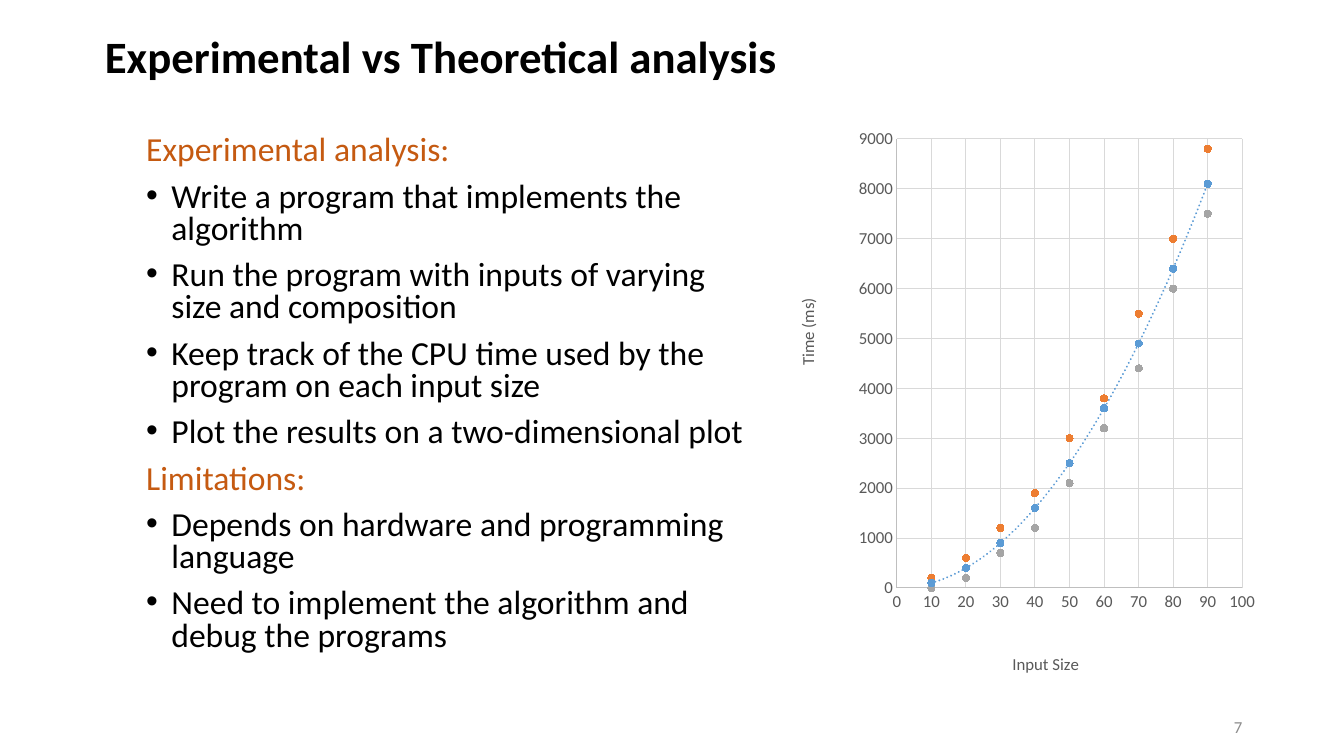
"""Build a slide on experimental analysis with a running-time scatter chart."""
from pptx import Presentation
from pptx.chart.data import XyChartData
from pptx.dml.color import RGBColor
from pptx.enum.chart import XL_CHART_TYPE, XL_MARKER_STYLE, XL_TICK_MARK
from pptx.enum.text import MSO_ANCHOR, MSO_AUTO_SIZE, PP_ALIGN
from pptx.oxml import parse_xml
from pptx.oxml.ns import nsdecls, qn
from pptx.util import Inches, Pt

SCATTER = XL_CHART_TYPE.XY_SCATTER
CIRCLE = XL_MARKER_STYLE.CIRCLE
NO_TICK = XL_TICK_MARK.NONE
MIDDLE, TOP = MSO_ANCHOR.MIDDLE, MSO_ANCHOR.TOP
NO_AUTOFIT = MSO_AUTO_SIZE.NONE
LEFT, RIGHT = PP_ALIGN.LEFT, PP_ALIGN.RIGHT

FONT = "Calibri"
BLACK = RGBColor(0x00, 0x00, 0x00)
RUST = RGBColor(0xC5, 0x5A, 0x11)
PAGE_GRAY = RGBColor(0x8C, 0x8C, 0x8C)
AXIS_TEXT = RGBColor(0x59, 0x59, 0x59)
AXIS_LINE = RGBColor(0xBF, 0xBF, 0xBF)
GRID_LINE = RGBColor(0xD9, 0xD9, 0xD9)
BLUE = RGBColor(0x5B, 0x9B, 0xD5)
ORANGE = RGBColor(0xED, 0x7D, 0x31)
GRAY = RGBColor(0xA5, 0xA5, 0xA5)

SECTIONS = {
    "Experimental analysis:": [
        "Write a program that implements the algorithm",
        "Run the program with inputs of varying size and composition",
        "Keep track of the CPU time used by the program on each input size",
        "Plot the results on a two-dimensional plot",
    ],
    "Limitations:": [
        "Depends on hardware and programming language",
        "Need to implement the algorithm and debug the programs",
    ],
}
INPUT_SIZES = range(10, 100, 10)
TIMINGS = [
    ("Series 1", BLUE, [100, 400, 900, 1600, 2500, 3600, 4900, 6400, 8100]),
    ("Series 2", ORANGE, [200, 600, 1200, 1900, 3000, 3800, 5500, 7000, 8800]),
    ("Series 3", GRAY, [0, 200, 700, 1200, 2100, 3200, 4400, 6000, 7500]),
]


def style_font(font, size, color, bold=False):
    """Set the typeface, size, colour and weight of a font."""
    font.name, font.size, font.bold = FONT, Pt(size), bold
    font.color.rgb = color


def write_text(paragraph, text, size=24, color=BLACK, bold=False,
               align=LEFT, line_spacing=None, space_before=0):
    """Write one formatted run into a paragraph."""
    run = paragraph.add_run()
    run.text = text
    style_font(run.font, size, color, bold)
    paragraph.alignment = align
    paragraph.line_spacing = line_spacing
    paragraph.space_before = Pt(space_before)


def set_bullet(paragraph, bulleted):
    """Give a paragraph a hanging bullet, or none."""
    indent = Inches(0.25) if bulleted else 0
    properties = paragraph._p.get_or_add_pPr()
    properties.set("marL", str(indent))
    properties.set("indent", str(-indent))
    bullet = 'buChar char="•"' if bulleted else "buNone"
    properties.append(parse_xml(f"<a:{bullet} {nsdecls('a')}/>"))


def place(shape, left, top, width, height, anchor):
    """Position a text shape and return its prepared text frame."""
    shape.left, shape.top = Inches(left), Inches(top)
    shape.width, shape.height = Inches(width), Inches(height)
    frame = shape.text_frame
    frame.word_wrap = True
    frame.auto_size = NO_AUTOFIT
    frame.vertical_anchor = anchor
    return frame


def fill_body(frame):
    """Write each section heading followed by its bulleted points."""
    lines = []
    for heading, points in SECTIONS.items():
        lines.append((heading, RUST, False))
        lines += [(point, BLACK, True) for point in points]
    for index, (text, color, bulleted) in enumerate(lines):
        paragraph = frame.add_paragraph() if index else frame.paragraphs[0]
        write_text(paragraph, text, color=color, line_spacing=0.8, space_before=10)
        set_bullet(paragraph, bulleted)


def set_layout(parent, index, target="", **fractions):
    """Fix the place of a chart part as fractions of the chart."""
    for old in parent.findall(qn("c:layout")):
        parent.remove(old)
    inner = f'<c:layoutTarget val="{target}"/>' if target else ""
    modes = '<c:xMode val="edge"/><c:yMode val="edge"/>'
    sizes = "".join(f'<c:{key} val="{value}"/>' for key, value in fractions.items())
    parent.insert(index, parse_xml(
        f"<c:layout {nsdecls('c')}><c:manualLayout>{inner}{modes}{sizes}"
        "</c:manualLayout></c:layout>"))


def style_line(line, color):
    """Draw a thin chart line in one colour."""
    line.color.rgb = color
    line.width = Pt(0.75)


def style_axis(axis, title, maximum, step, x, y, rotation=0):
    """Scale and format an axis and place its title."""
    axis.minimum_scale, axis.maximum_scale, axis.major_unit = 0, maximum, step
    axis.major_tick_mark = axis.minor_tick_mark = NO_TICK
    axis.has_major_gridlines = True
    style_line(axis.major_gridlines.format.line, GRID_LINE)
    style_line(axis.format.line, AXIS_LINE)
    style_font(axis.tick_labels.font, 12, AXIS_TEXT)
    frame = axis.axis_title.text_frame
    write_text(frame.paragraphs[0], title, size=12, color=AXIS_TEXT)
    body = frame._txBody.find(qn("a:bodyPr"))
    body.set("rot", str(rotation * 60000))
    body.set("vert", "horz")
    set_layout(axis.axis_title._element, 1, x=x, y=y)


def add_power_trend(series, color):
    """Add a dotted power trend line to a series."""
    series._element.find(qn("c:xVal")).addprevious(parse_xml(
        f"<c:trendline {nsdecls('c', 'a')}><c:spPr>"
        f'<a:ln w="{Pt(1.5)}" cap="rnd"><a:solidFill><a:srgbClr val="{color}"/>'
        '</a:solidFill><a:prstDash val="sysDot"/></a:ln></c:spPr>'
        '<c:trendlineType val="power"/><c:dispRSqr val="0"/>'
        '<c:dispEq val="0"/></c:trendline>'))


def add_timing_chart(slide):
    """Add the scatter chart of running time against input size."""
    data = XyChartData()
    for name, _, times in TIMINGS:
        points = data.add_series(name)
        for size, time in zip(INPUT_SIZES, times):
            points.add_data_point(size, time)
    chart = slide.shapes.add_chart(SCATTER, Inches(7.67), Inches(1.05),
                                   Inches(4.98), Inches(5.87), data).chart
    chart.has_title = chart.has_legend = False
    style_font(chart.font, 10, BLACK)
    plot = chart.plots[0]
    plot.vary_by_categories = False
    for series, (_, color, _) in zip(plot.series, TIMINGS):
        series.format.line.fill.background()
        series.marker.style, series.marker.size = CIRCLE, 5
        series.marker.format.fill.solid()
        series.marker.format.fill.fore_color.rgb = color
        series.marker.format.line.color.rgb = color
    add_power_trend(plot.series[0], BLUE)
    style_axis(chart.category_axis, "Input Size", 100, 10, 0.47, 0.92)
    style_axis(chart.value_axis, "Time (ms)", 9000, 1000, 0.04, 0.32, rotation=-90)
    plot_area = chart._chartSpace.find(".//" + qn("c:plotArea"))
    set_layout(plot_area, 0, "inner", x=0.246, y=0.056, w=0.688, h=0.759)


def main():
    """Build the slide and save it."""
    deck = Presentation()
    deck.slide_width, deck.slide_height = Inches(13.33), Inches(7.5)
    slide = deck.slides.add_slide(deck.slide_layouts[1])
    title = place(slide.shapes.title, 0.94, 0.13, 11.5, 0.92, MIDDLE)
    write_text(title.paragraphs[0], "Experimental vs Theoretical analysis",
               size=32, bold=True, line_spacing=0.9)
    fill_body(place(slide.placeholders[1], 1.35, 1.3, 6.2, 5.33, TOP))
    add_timing_chart(slide)
    page_number = slide.shapes.add_textbox(0, 0, 0, 0)
    page_frame = place(page_number, 9.42, 7.08, 3, 0.27, MIDDLE)
    write_text(page_frame.paragraphs[0], "7", size=12, color=PAGE_GRAY, align=RIGHT)
    deck.save("out.pptx")


if __name__ == "__main__":
    main()
